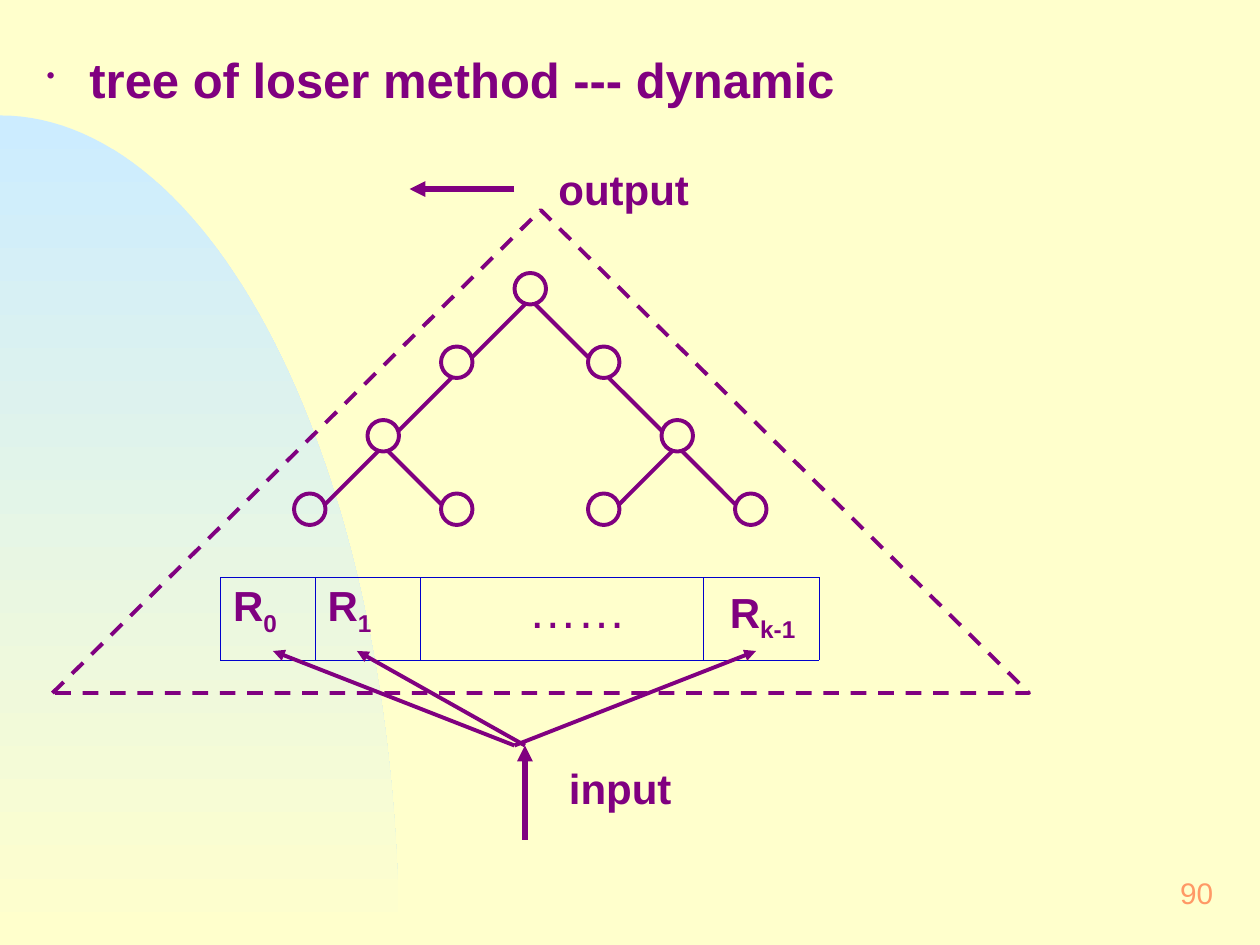
"""Build the slide on the dynamic tree of losers, on a grid of 120 columns by 90 rows."""
import math

import lxml.etree
import pptx
import pptx.dml.color
import pptx.enum.dml
import pptx.enum.shapes
import pptx.enum.text
import pptx.oxml.ns
import pptx.util

PURPLE = "800080"
qn = pptx.oxml.ns.qn
hex_color = pptx.dml.color.RGBColor.from_string

deck = pptx.Presentation()
deck.slide_width = pptx.util.Inches(10)
deck.slide_height = pptx.util.Inches(7.5)
unit = deck.slide_width // 120
slide = deck.slides.add_slide(deck.slide_layouts[6])
slide.background.fill.solid()
slide.background.fill.fore_color.rgb = hex_color("FFFFCC")


def write(frame, text, sub="", size=24, color=PURPLE, bold=True, align="LEFT",
          anchor="TOP", margins=(0.1, 0.05), bullet=""):
    """Put formatted text, with an optional subscript and bullet, in a text frame."""
    frame.word_wrap = True
    frame.vertical_anchor = pptx.enum.text.MSO_ANCHOR[anchor]
    frame.margin_left = frame.margin_right = pptx.util.Inches(margins[0])
    frame.margin_top = frame.margin_bottom = pptx.util.Inches(margins[1])
    paragraph = frame.paragraphs[0]
    paragraph.alignment = pptx.enum.text.PP_ALIGN[align]
    if bullet:
        layout = paragraph._p.get_or_add_pPr()
        layout.set("marL", str(pptx.util.Inches(0.34)))
        layout.set("indent", str(-pptx.util.Inches(0.34)))
        lxml.etree.SubElement(layout, qn("a:buSzPct")).set("val", "50000")
        lxml.etree.SubElement(layout, qn("a:buChar")).set("char", bullet)
    for part, baseline in ((text, 0), (sub, -25000)):
        if part:
            run = paragraph.add_run()
            run.text = part
            run.font.name = "Arial"
            run.font.size = pptx.util.Pt(size)
            run.font.bold = bold
            run.font.color.rgb = hex_color(color)
            if baseline:
                run._r.get_or_add_rPr().set("baseline", str(baseline))


def draw_line(start, end, width=2.25, arrow=False):
    """Join two grid points with a straight line, with an arrowhead if asked."""
    line = slide.shapes.add_connector(
        pptx.enum.shapes.MSO_CONNECTOR.STRAIGHT, *(round(n * unit) for n in start + end))
    line.line.color.rgb = hex_color(PURPLE)
    line.line.width = pptx.util.Pt(width)
    if arrow:
        lxml.etree.SubElement(line.line._get_or_add_ln(), qn("a:tailEnd")).set("type", "triangle")
    lxml.etree.SubElement(line._element.spPr, qn("a:effectLst"))


arc = [(38 * math.sin(step * math.pi / 120), 90 - 79 * math.cos(step * math.pi / 120))
       for step in range(61)]
outline = slide.shapes.build_freeform(0, 11 * unit)
outline.add_line_segments([(round(x * unit), round(y * unit)) for x, y in arc[1:] + [(0, 90)]])
backdrop = outline.convert_to_shape()
backdrop.shadow.inherit = False
backdrop.line.fill.background()
backdrop.fill.gradient()
backdrop.fill.gradient_angle = 270
for stop, shade in zip(backdrop.fill.gradient_stops, ("CCECFF", "FFFFCC")):
    stop.color.rgb = hex_color(shade)

inset = (0.12, 0.06)
labels = (
    ((92, 82, 25, 6), "90", dict(size=17, color="FF9966", bold=False, align="RIGHT",
                                 anchor="MIDDLE", margins=inset)),
    ((3, 4, 115, 7), "tree of loser method --- dynamic", dict(size=28, margins=inset, bullet="•")),
    ((52, 15, 22, 6), "output", {}),
    ((53, 72, 22, 6), "input", {}),
)
for place, text, style in labels:
    box = slide.shapes.add_textbox(*(n * unit for n in place))
    write(box.text_frame, text, **style)

records = slide.shapes.add_table(1, 4, 21 * unit, 55 * unit, 57 * unit, round(7.3 * unit)).table
records.first_row = records.horz_banding = False
entries = (
    (9, "R", "0", {}, 0.1),
    (10, "R", "1", {}, 0.1),
    (27, "……", "", dict(size=28, bold=False), 0.86),
    (11, "R", "k-1", dict(margins=(0.05, 0.1)), 0.21),
)
for index, (columns, text, sub, style, indent) in enumerate(entries):
    records.columns[index].width = columns * unit
    cell = records.cell(0, index)
    write(cell.text_frame, text, sub=sub, **style)
    cell.margin_left = pptx.util.Inches(indent)
    cell.margin_right = pptx.util.Inches(0.05)
    cell.margin_top = cell.margin_bottom = pptx.util.Inches(style.get("margins", (0, 0.05))[1])
    cell.fill.background()
    borders = cell._tc.get_or_add_tcPr()
    for order, side in enumerate("LRTB"):
        border = lxml.etree.Element(qn("a:ln" + side), w=str(pptx.util.Pt(0.45)))
        paint = lxml.etree.SubElement(border, qn("a:solidFill"))
        lxml.etree.SubElement(paint, qn("a:srgbClr")).set("val", "0000CC")
        borders.insert(order, border)

children = {
    (49, 26): [(42, 33), (56, 33)],
    (42, 33): [(35, 40)],
    (56, 33): [(63, 40)],
    (35, 40): [(28, 47), (42, 47)],
    (63, 40): [(56, 47), (70, 47)],
}
for (x, y), below in children.items():
    for child_x, child_y in below:
        if child_x < x:
            draw_line((x + 1, y + 3), (child_x + 3, child_y + 1))
        else:
            draw_line((x + 2, y + 3), (child_x, child_y + 1))

nodes = [(49, 26)] + [child for below in children.values() for child in below]
outlines = [("OVAL", (x, y, 3, 3)) for x, y in nodes] + [("ISOSCELES_TRIANGLE", (5, 20, 93, 46))]
for kind, place in outlines:
    figure = slide.shapes.add_shape(pptx.enum.shapes.MSO_SHAPE[kind], *(n * unit for n in place))
    figure.shadow.inherit = False
    figure.fill.background()
    figure.line.color.rgb = hex_color(PURPLE)
    figure.line.width = pptx.util.Pt(2.25)
    if kind == "ISOSCELES_TRIANGLE":
        figure.line.dash_style = pptx.enum.dml.MSO_LINE.DASH

draw_line((49, 18), (39, 18), width=3, arrow=True)
draw_line((50, 80), (50, 71), width=3, arrow=True)
for source, record in ((49, 26), (50, 34), (49, 72)):
    draw_line((source, 71), (record, 62), arrow=True)

deck.save("out.pptx")
